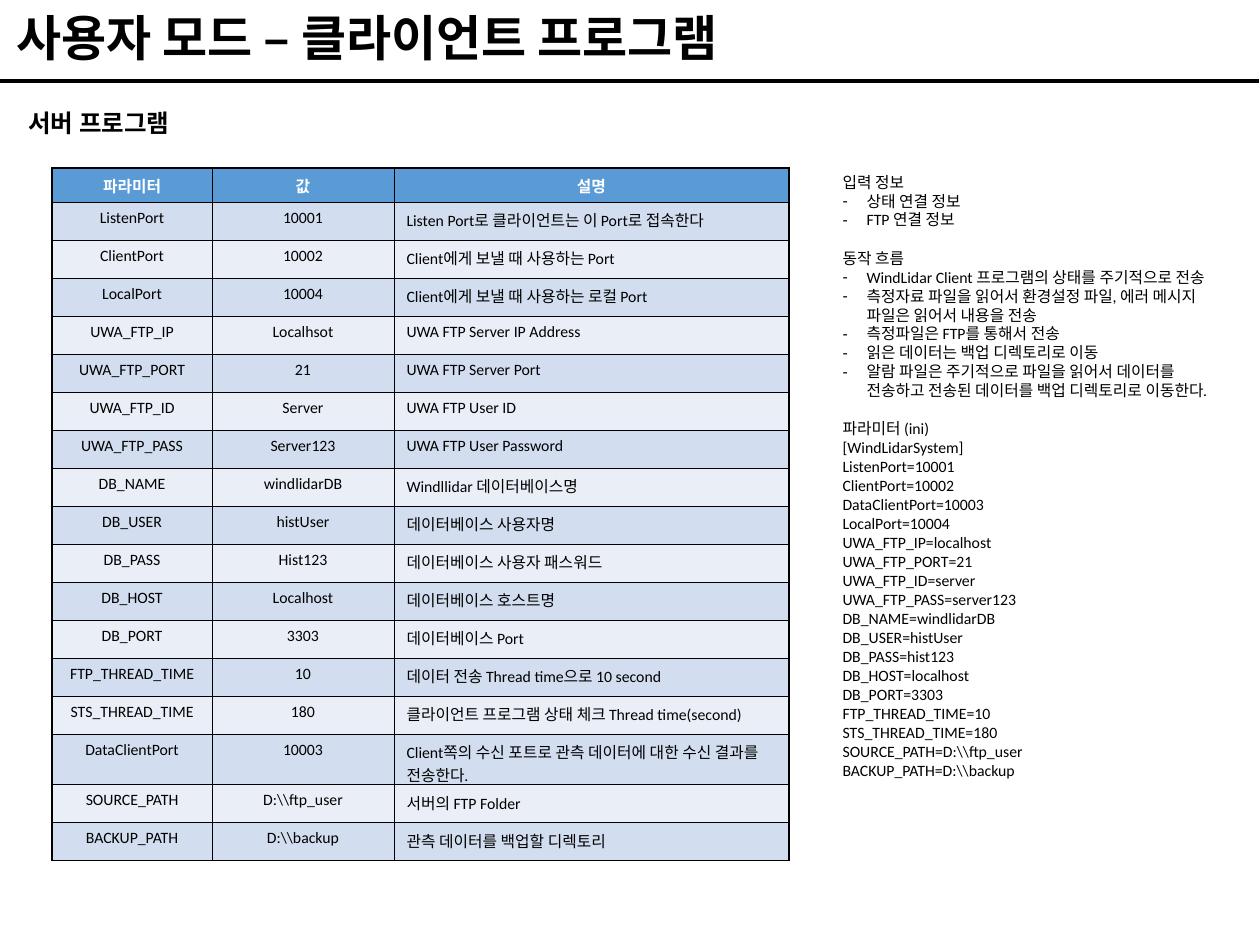
import pptx
import pptx.dml.color
import pptx.enum.shapes
import pptx.enum.text
import pptx.oxml.xmlchemy
import pptx.util

px = 7257
element = pptx.oxml.xmlchemy.OxmlElement
align = pptx.enum.text.PP_ALIGN


def rgb(value):
    return pptx.dml.color.RGBColor.from_string(value)


def write(paragraph, text, size=9, font="Calibri", color="000000", bold=False,
          alignment=align.LEFT, before=0, spacing=1.0):
    run = paragraph.add_run()
    run.text = text
    run.font.size = pptx.util.Pt(size)
    run.font.name = font
    run.font.bold = bold
    run.font.color.rgb = rgb(color)
    paragraph.alignment = alignment
    paragraph.space_before = pptx.util.Pt(before)
    paragraph.line_spacing = spacing


deck = pptx.Presentation()
deck.slide_width = 1260 * px
deck.slide_height = 945 * px
slide = deck.slides.add_slide(deck.slide_layouts[1])

rule = slide.shapes.add_connector(
    pptx.enum.shapes.MSO_CONNECTOR.STRAIGHT, 0, 81 * px, 1259 * px, 81 * px)
rule.line.color.rgb = rgb("000000")
rule.line.width = pptx.util.Pt(2.25)
rule._element.spPr.append(element("a:effectLst"))

title = slide.shapes.title
title.left, title.top, title.width, title.height = 4 * px, 4 * px, 1251 * px, 69 * px
title.text_frame.auto_size = pptx.enum.text.MSO_AUTO_SIZE.NONE
title.text_frame.vertical_anchor = pptx.enum.text.MSO_ANCHOR.BOTTOM
write(title.text_frame.paragraphs[0], "사용자 모드 – 클라이언트 프로그램",
      size=28, bold=True, spacing=0.9)

subtitle = slide.shapes.add_textbox(16 * px, 102 * px, 183 * px, 43 * px)
subtitle.text_frame.word_wrap = False
subtitle.text_frame.auto_size = pptx.enum.text.MSO_AUTO_SIZE.SHAPE_TO_FIT_TEXT
write(subtitle.text_frame.paragraphs[0], "서버 프로그램", size=14, font="Arial", bold=True)

sections = [
    ("입력 정보", "-", ["상태 연결 정보", "FTP 연결 정보"]),
    ("동작 흐름", "-", [
        "WindLidar Client 프로그램의 상태를 주기적으로 전송",
        "측정자료 파일을 읽어서 환경설정 파일, 에러 메시지 파일은 읽어서 내용을 전송",
        "측정파일은 FTP를 통해서 전송",
        "읽은 데이터는 백업 디렉토리로 이동",
        "알람 파일은 주기적으로 파일을 읽어서 데이터를 전송하고 전송된 데이터를 백업 디렉토리로 이동한다.",
    ]),
    ("파라미터 (ini)", None, [
        "[WindLidarSystem]",
        "ListenPort=10001",
        "ClientPort=10002",
        "DataClientPort=10003",
        "LocalPort=10004",
        "UWA_FTP_IP=localhost",
        "UWA_FTP_PORT=21",
        "UWA_FTP_ID=server",
        "UWA_FTP_PASS=server123",
        "DB_NAME=windlidarDB",
        "DB_USER=histUser",
        "DB_PASS=hist123",
        "DB_HOST=localhost",
        "DB_PORT=3303",
        "FTP_THREAD_TIME=10",
        "STS_THREAD_TIME=180",
        r"SOURCE_PATH=D:\\ftp_user",
        r"BACKUP_PATH=D:\\backup",
    ]),
]
notes = slide.placeholders[1]
notes.left, notes.top, notes.width, notes.height = 830 * px, 166 * px, 413 * px, 624 * px
notes.text_frame.auto_size = pptx.enum.text.MSO_AUTO_SIZE.NONE
lines = []
for number, (heading, marker, items) in enumerate(sections):
    lines.append((heading, None, 11 if number else 0))
    lines += [(item, marker, 0) for item in items]
for number, (text, marker, gap) in enumerate(lines):
    paragraph = notes.text_frame.paragraphs[0] if number == 0 else notes.text_frame.add_paragraph()
    write(paragraph, text, before=gap)
    properties = paragraph._p.get_or_add_pPr()
    indent = 24 * px if marker else 0
    properties.set("marL", str(indent))
    properties.set("indent", str(-indent))
    bullet = element("a:buChar" if marker else "a:buNone")
    if marker:
        bullet.set("char", marker)
    properties.append(bullet)

parameters = [
    ("파라미터", "값", "설명"),
    ("ListenPort", "10001", "Listen Port로 클라이언트는 이 Port로 접속한다"),
    ("ClientPort", "10002", "Client에게 보낼 때 사용하는 Port"),
    ("LocalPort", "10004", "Client에게 보낼 때 사용하는 로컬 Port"),
    ("UWA_FTP_IP", "Localhsot", "UWA FTP Server IP Address"),
    ("UWA_FTP_PORT", "21", "UWA FTP Server Port"),
    ("UWA_FTP_ID", "Server", "UWA FTP User ID"),
    ("UWA_FTP_PASS", "Server123", "UWA FTP User Password"),
    ("DB_NAME", "windlidarDB", "Windllidar 데이터베이스명"),
    ("DB_USER", "histUser", "데이터베이스 사용자명"),
    ("DB_PASS", "Hist123", "데이터베이스 사용자 패스워드"),
    ("DB_HOST", "Localhost", "데이터베이스 호스트명"),
    ("DB_PORT", "3303", "데이터베이스 Port"),
    ("FTP_THREAD_TIME", "10", "데이터 전송 Thread time으로 10 second"),
    ("STS_THREAD_TIME", "180", "클라이언트 프로그램 상태 체크 Thread time(second)"),
    ("DataClientPort", "10003", "Client쪽의 수신 포트로 관측 데이터에 대한 수신 결과를 전송한다."),
    ("SOURCE_PATH", r"D:\\ftp_user", "서버의 FTP Folder"),
    ("BACKUP_PATH", r"D:\\backup", "관측 데이터를 백업할 디렉토리"),
]
last = len(parameters) - 1
grid = slide.shapes.add_table(
    len(parameters), 3, 52 * px, 168 * px, 737 * px, (34 + 38 * last) * px).table
for column, width in zip(grid.columns, (160, 182, 395)):
    column.width = width * px
for r, values in enumerate(parameters):
    grid.rows[r].height = (38 if r else 34) * px
    for c, value in enumerate(values):
        cell = grid.cell(r, c)
        cell.fill.solid()
        cell.fill.fore_color.rgb = rgb("5B9BD5" if r == 0 else "D2DEEF" if r % 2 else "EAEFF7")
        write(cell.text_frame.paragraphs[0], value, bold=r == 0,
              color="000000" if r else "FFFFFF",
              alignment=align.LEFT if r and c == 2 else align.CENTER)
        outer_sides = {"a:lnL": c == 0, "a:lnR": c == 2, "a:lnT": r == 0, "a:lnB": r == last}
        for position, (side, outer) in enumerate(outer_sides.items()):
            border = element(side)
            border.set("w", str(pptx.util.Pt(1 if outer else 0.5)))
            ink = element("a:solidFill")
            black = element("a:srgbClr")
            black.set("val", "000000")
            ink.append(black)
            border.append(ink)
            cell._tc.get_or_add_tcPr().insert(position, border)

deck.save("out.pptx")
